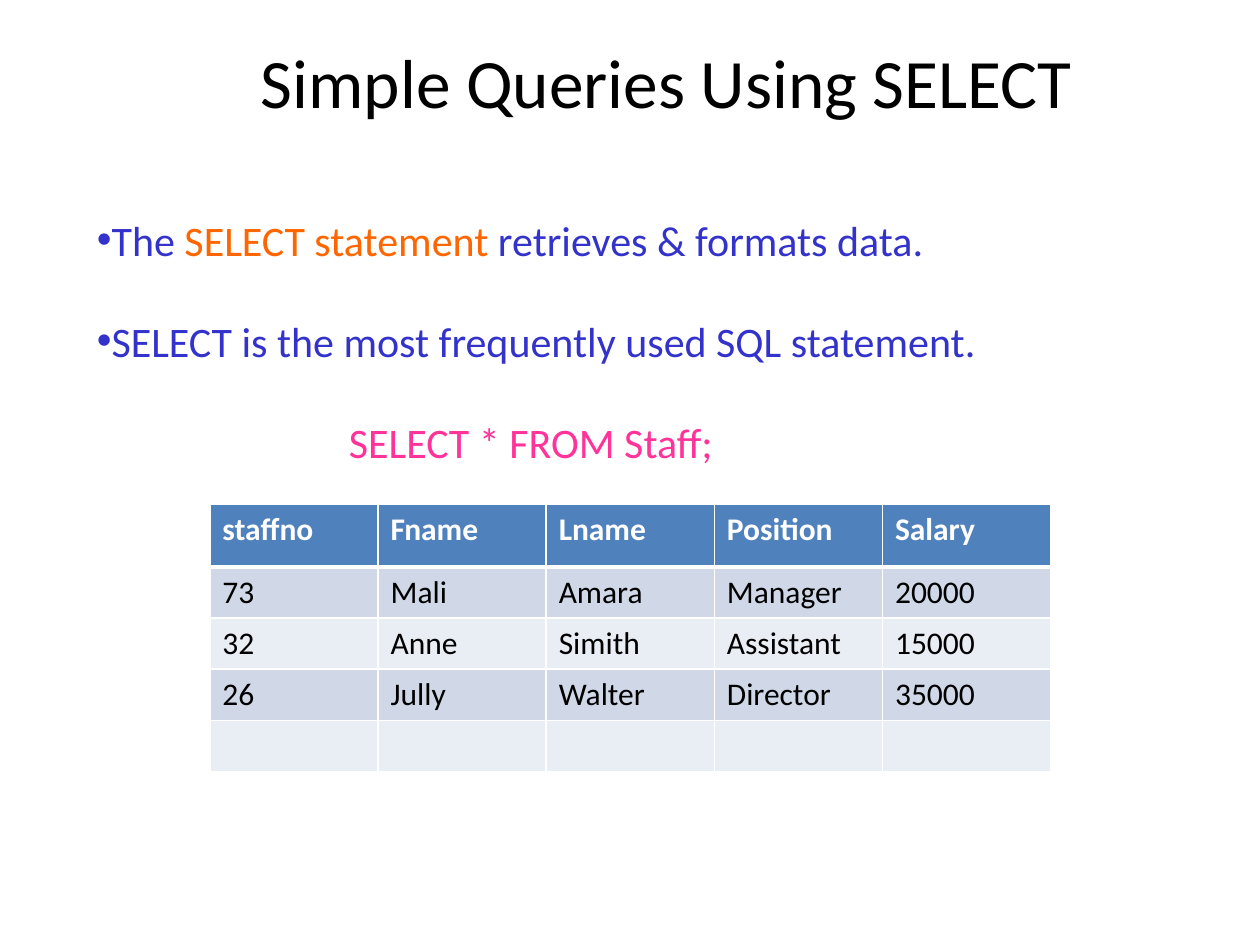
from lxml.etree import SubElement
from pptx import Presentation
from pptx.dml.color import RGBColor
from pptx.enum.text import MSO_ANCHOR, MSO_AUTO_SIZE, PP_ALIGN
from pptx.oxml import parse_xml
from pptx.oxml.ns import nsdecls, qn
from pptx.util import Cm, Pt

BLACK = RGBColor(0x00, 0x00, 0x00)
WHITE = RGBColor(0xFF, 0xFF, 0xFF)
BLUE = RGBColor(0x33, 0x33, 0xCC)
ORANGE = RGBColor(0xFF, 0x66, 0x00)
PINK = RGBColor(0xFF, 0x33, 0x99)
HEADER_BLUE = RGBColor(0x4F, 0x81, 0xBD)
BANDS = [RGBColor(0xE9, 0xED, 0xF4), RGBColor(0xD0, 0xD8, 0xE8)]

# Content
TITLE = "Simple Queries Using SELECT"
# Each line: bullet, left margin in cm, coloured spans
LINES = [
    (True, 0, [("The ", BLUE), ("SELECT statement", ORANGE),
               (" retrieves & formats data.", BLUE)]),
    (True, 0, [("SELECT is the most frequently used SQL statement.", BLUE)]),
    (False, 5.08, [("SELECT * FROM Staff;", PINK)]),
]
STAFF = [
    ("staffno", "Fname", "Lname", "Position", "Salary"),
    ("73", "Mali", "Amara", "Manager", "20000"),
    ("32", "Anne", "Simith", "Assistant", "15000"),
    ("26", "Jully", "Walter", "Director", "35000"),
    ("", "", "", "", ""),
]
HEADER_HEIGHT, ROW_HEIGHT, COLUMN_WIDTH = Cm(1.27), Cm(1.03), Cm(3.39)


def set_values(target, values):
    for name, value in values.items():
        setattr(target, name, value)


def add_span(para, text, size, color, bold=False):
    span = para.add_run()
    span.text = text
    set_values(span.font, {"name": "Calibri", "size": Pt(size), "bold": bold})
    span.font.color.rgb = color


def place(box, left, top, width, height):
    set_values(box, {"left": Cm(left), "top": Cm(top),
                     "width": Cm(width), "height": Cm(height)})


def set_bullet(para, bullet, margin):
    properties = para._p.get_or_add_pPr()
    properties.set("marL", str(Cm(margin)))
    properties.set("indent", "0")
    if bullet:
        SubElement(properties, qn("a:buFont")).set("typeface", "Arial")
        SubElement(properties, qn("a:buChar")).set("char", "•")
    else:
        SubElement(properties, qn("a:buNone"))


def add_borders(cell, widths):
    properties = cell._tc.get_or_add_tcPr()
    for position, (side, width) in enumerate(widths.items()):
        properties.insert(position, parse_xml(
            f'<a:ln{side} {nsdecls("a")} w="{Pt(width)}"><a:solidFill>'
            f'<a:srgbClr val="{WHITE}"/></a:solidFill></a:ln{side}>'))


deck = Presentation()
set_values(deck, {"slide_width": Cm(25.4), "slide_height": Cm(19.05)})
page = deck.slides.add_slide(deck.slide_layouts.get_by_name("Title and Content"))

# Title
title = page.shapes.title
place(title, 4.65, 1.02, 17.58, 1.22)
set_values(title.text_frame, {"vertical_anchor": MSO_ANCHOR.MIDDLE,
                              "auto_size": MSO_AUTO_SIZE.NONE, "word_wrap": True})
title_para = title.text_frame.paragraphs[0]
title_para.alignment = PP_ALIGN.CENTER
add_span(title_para, TITLE, 39.6, BLACK)

# Statements and sample query
body = page.placeholders[1]
place(body, 1.7, 4.19, 22.81, 5.33)
frame = body.text_frame
set_values(frame, {"vertical_anchor": MSO_ANCHOR.TOP,
                   "auto_size": MSO_AUTO_SIZE.NONE, "word_wrap": True})
for index, (bullet, margin, spans) in enumerate(LINES):
    para = frame.add_paragraph() if index else frame.paragraphs[0]
    set_bullet(para, bullet, margin)
    set_values(para, {"alignment": PP_ALIGN.LEFT,
                      "space_before": Pt(29 if index else 0)})
    for text, color in spans:
        add_span(para, text, 24, color)

# Staff table
row_count, column_count = len(STAFF), len(STAFF[0])
table = page.shapes.add_table(
    row_count, column_count, Cm(4.23), Cm(10.16), COLUMN_WIDTH * column_count,
    HEADER_HEIGHT + ROW_HEIGHT * (row_count - 1)).table
for column in table.columns:
    column.width = COLUMN_WIDTH
for row_index, values in enumerate(STAFF):
    header = row_index == 0
    table.rows[row_index].height = HEADER_HEIGHT if header else ROW_HEIGHT
    for column_index, value in enumerate(values):
        cell = table.cell(row_index, column_index)
        cell.fill.solid()
        cell.fill.fore_color.rgb = HEADER_BLUE if header else BANDS[row_index % 2]
        add_borders(cell, {"L": 1, "R": 1, "T": 3 if row_index == 1 else 1,
                           "B": 3 if header else 1})
        if value:
            add_span(cell.text_frame.paragraphs[0], value, 18,
                     WHITE if header else BLACK, header)

deck.save("out.pptx")
